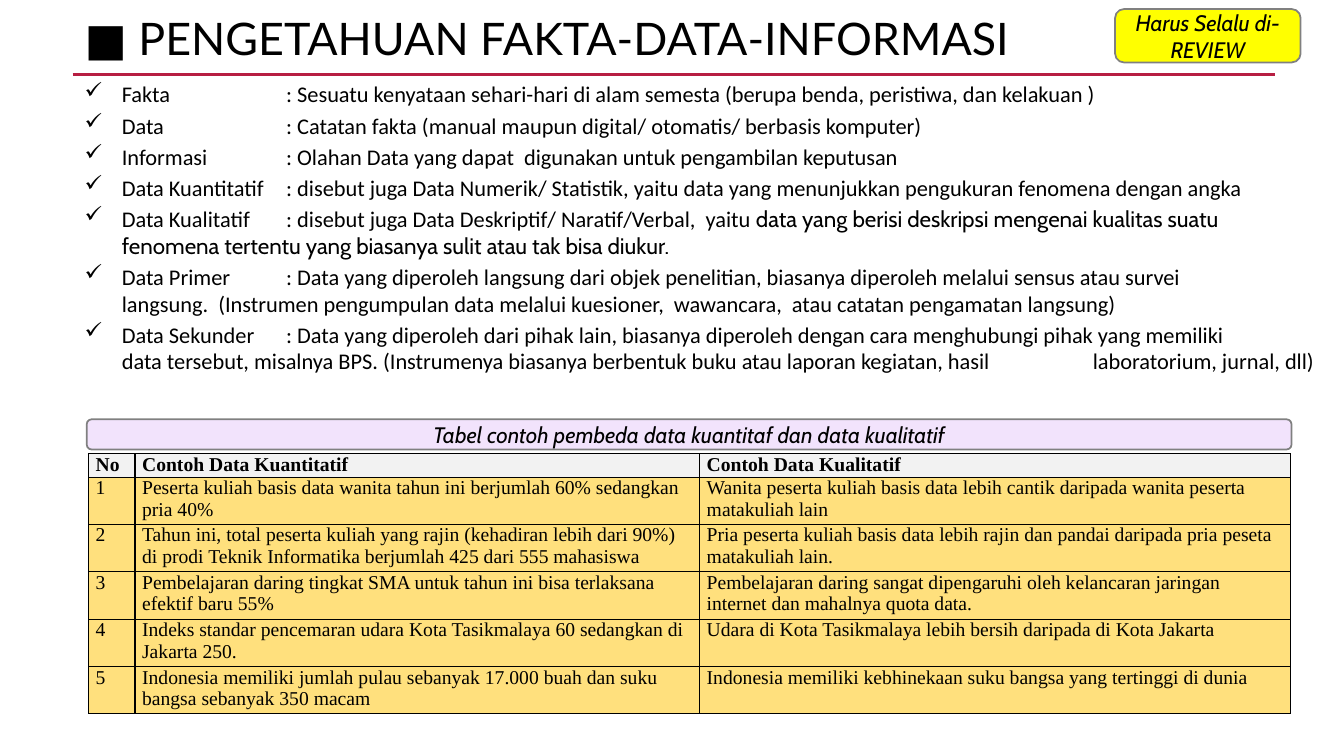
"""Build a slide on facts, data and information with a table of data examples."""
from dataclasses import dataclass

from lxml.etree import SubElement
from pptx import Presentation
from pptx.dml.color import RGBColor
from pptx.enum.shapes import MSO_CONNECTOR, MSO_SHAPE
from pptx.enum.text import MSO_ANCHOR, MSO_AUTO_SIZE, PP_ALIGN
from pptx.oxml import parse_xml
from pptx.oxml.ns import nsdecls, qn
from pptx.util import Inches, Pt


@dataclass(frozen=True)
class Theme:
    ink: str = "000000"
    rule: str = "B71E42"
    outline: str = "808080"
    caption: str = "F2E3FC"
    badge: str = "FFFF00"
    header: str = "F2F2F2"
    row: str = "FFE07D"
    title_size: int = 32
    text_size: int = 16
    table_size: int = 14
    title_font: str = "Lato"
    text_font: str = "Calibri"
    accent_font: str = "Cabin"
    table_font: str = "Times New Roman"


THEME = Theme()


def apply_format(target, values):
    """Set each named attribute of the target."""
    for name, value in values.items():
        setattr(target, name, value)


def write(paragraph, text, font, size, **emphasis):
    """Add formatted text to a paragraph, breaking lines at newlines."""
    for number, line in enumerate(text.split("\n")):
        if number:
            paragraph.add_line_break()
        run = paragraph.add_run()
        run.text = line
        apply_format(run.font, {"name": font, "size": Pt(size), **emphasis})
        run.font.color.rgb = RGBColor.from_string(THEME.ink)


presentation = Presentation()
apply_format(presentation, {"slide_width": Inches(13.33), "slide_height": Inches(7.5)})
slide = presentation.slides.add_slide(presentation.slide_layouts[5])

heading = slide.shapes.title
apply_format(heading, {"left": Inches(0.74), "top": Inches(0.14),
                       "width": Inches(12.3), "height": Inches(0.54)})
apply_format(heading.text_frame, {"vertical_anchor": MSO_ANCHOR.MIDDLE,
                                  "auto_size": MSO_AUTO_SIZE.NONE, "word_wrap": True})
heading_line = heading.text_frame.paragraphs[0]
apply_format(heading_line, {"alignment": PP_ALIGN.LEFT, "line_spacing": 0.9})
write(heading_line, "■ PENGETAHUAN FAKTA-DATA-INFORMASI", THEME.title_font, THEME.title_size)

rule = slide.shapes.add_connector(
    MSO_CONNECTOR.STRAIGHT, Inches(0.72), Inches(0.74), Inches(12.65), Inches(0.74))
rule.line.color.rgb = RGBColor.from_string(THEME.rule)
rule.line.width = Pt(2.5)
SubElement(rule._element.spPr, qn("a:effectLst"))

DEFINITIONS = [
    ("Fakta", "Sesuatu kenyataan sehari-hari di alam semesta (berupa benda, peristiwa, dan kelakuan )", ""),
    ("Data", "Catatan fakta (manual maupun digital/ otomatis/ berbasis komputer)", ""),
    ("Informasi", "Olahan Data yang dapat  digunakan untuk pengambilan keputusan", ""),
    ("Data Kuantitatif", "disebut juga Data Numerik/ Statistik, yaitu data yang menunjukkan "
     "pengukuran fenomena dengan angka", ""),
    ("Data Kualitatif", "disebut juga Data Deskriptif/ Naratif/Verbal,  yaitu ",
     "data yang berisi deskripsi mengenai kualitas suatu\n"
     "fenomena tertentu yang biasanya sulit atau tak bisa diukur."),
    ("Data Primer", "Data yang diperoleh langsung dari objek penelitian, biasanya diperoleh "
     "melalui sensus atau survei\nlangsung.  (Instrumen pengumpulan data melalui kuesioner,  "
     "wawancara,  atau catatan pengamatan langsung)", ""),
    ("Data Sekunder", "Data yang diperoleh dari pihak lain, biasanya diperoleh dengan cara "
     "menghubungi pihak yang memiliki\ndata tersebut, misalnya BPS. (Instrumenya biasanya "
     "berbentuk buku atau laporan kegiatan, hasil\tlaboratorium, jurnal, dll)", ""),
]
INDENT = Inches(0.37)
TAB_STOPS = [Inches(2), Inches(10)]

definitions = slide.shapes.add_textbox(
    Inches(0.74), Inches(0.75), Inches(12.4), Inches(3.32)).text_frame
apply_format(definitions, {"word_wrap": True, "margin_right": 0})
for number, (term, meaning, accent) in enumerate(DEFINITIONS):
    definition = definitions.add_paragraph() if number else definitions.paragraphs[0]
    definition.space_after = Pt(3)
    properties = definition._p.get_or_add_pPr()
    properties.set("marL", str(INDENT))
    properties.set("indent", str(-INDENT))
    SubElement(properties, qn("a:buChar"), char="✓")
    tabs = SubElement(properties, qn("a:tabLst"))
    for stop in TAB_STOPS:
        SubElement(tabs, qn("a:tab"), pos=str(stop), algn="l")
    write(definition, f"{term}\t: {meaning}", THEME.text_font, THEME.text_size)
    if accent:
        write(definition, accent, THEME.accent_font, THEME.text_size)

EXAMPLES = [
    ("No", "Contoh Data Kuantitatif", "Contoh Data Kualitatif"),
    ("1", "Peserta kuliah basis data wanita tahun ini berjumlah 60% sedangkan pria 40%",
     "Wanita peserta kuliah basis data lebih cantik daripada wanita peserta matakuliah lain"),
    ("2", "Tahun ini, total peserta kuliah yang rajin (kehadiran lebih dari 90%) di prodi "
     "Teknik Informatika berjumlah 425 dari 555 mahasiswa",
     "Pria peserta kuliah basis data lebih rajin dan pandai daripada pria peseta matakuliah lain."),
    ("3", "Pembelajaran daring tingkat SMA untuk tahun ini bisa terlaksana efektif baru 55%",
     "Pembelajaran daring sangat dipengaruhi oleh kelancaran jaringan internet dan mahalnya quota data."),
    ("4", "Indeks standar pencemaran udara Kota Tasikmalaya 60 sedangkan di Jakarta 250.",
     "Udara di Kota Tasikmalaya lebih bersih daripada di Kota Jakarta"),
    ("5", "Indonesia memiliki jumlah pulau sebanyak 17.000 buah dan suku bangsa sebanyak 350 macam",
     "Indonesia memiliki kebhinekaan suku bangsa yang tertinggi di dunia"),
]
examples = slide.shapes.add_table(
    len(EXAMPLES), 3, Inches(0.88), Inches(4.5), Inches(11.92), Inches(2.58)).table
apply_format(examples, {"first_row": False, "horz_banding": False})
for column, width in zip(examples.columns, (0.46, 5.6, 5.86)):
    column.width = Inches(width)
for row_number, entries in enumerate(EXAMPLES):
    is_header = row_number == 0
    examples.rows[row_number].height = Inches(0.23 if is_header else 0.47)
    for column_number, entry in enumerate(entries):
        cell = examples.cell(row_number, column_number)
        apply_format(cell, {"margin_left": Inches(0.07), "margin_right": Inches(0.07),
                            "margin_top": 0, "margin_bottom": 0})
        cell.fill.solid()
        cell.fill.fore_color.rgb = RGBColor.from_string(THEME.header if is_header else THEME.row)
        for position, side in enumerate(("lnL", "lnR", "lnT", "lnB")):
            cell._tc.get_or_add_tcPr().insert(position, parse_xml(
                f'<a:{side} {nsdecls("a")} w="{Pt(1)}"><a:solidFill>'
                f'<a:srgbClr val="{THEME.ink}"/></a:solidFill></a:{side}>'))
        content = cell.text_frame.paragraphs[0]
        content.alignment = PP_ALIGN.JUSTIFY if is_header else PP_ALIGN.LEFT
        write(content, entry, THEME.table_font, THEME.table_size, bold=is_header)

LABELS = [
    ("Tabel contoh pembeda data kuantitaf dan data kualitatif", THEME.caption, (0.86, 4.16, 11.95, 0.3)),
    ("Harus Selalu di-REVIEW", THEME.badge, (11.06, 0.09, 1.84, 0.53)),
]
for wording, colour, place in LABELS:
    label = slide.shapes.add_shape(MSO_SHAPE.ROUNDED_RECTANGLE, *map(Inches, place))
    label.shadow.inherit = False
    label.fill.solid()
    label.fill.fore_color.rgb = RGBColor.from_string(colour)
    label.line.color.rgb = RGBColor.from_string(THEME.outline)
    label.line.width = Pt(1.25)
    apply_format(label.text_frame, {"word_wrap": True, "vertical_anchor": MSO_ANCHOR.MIDDLE})
    label_line = label.text_frame.paragraphs[0]
    label_line.alignment = PP_ALIGN.CENTER
    write(label_line, wording, THEME.accent_font, THEME.text_size, italic=True)

presentation.save("out.pptx")
